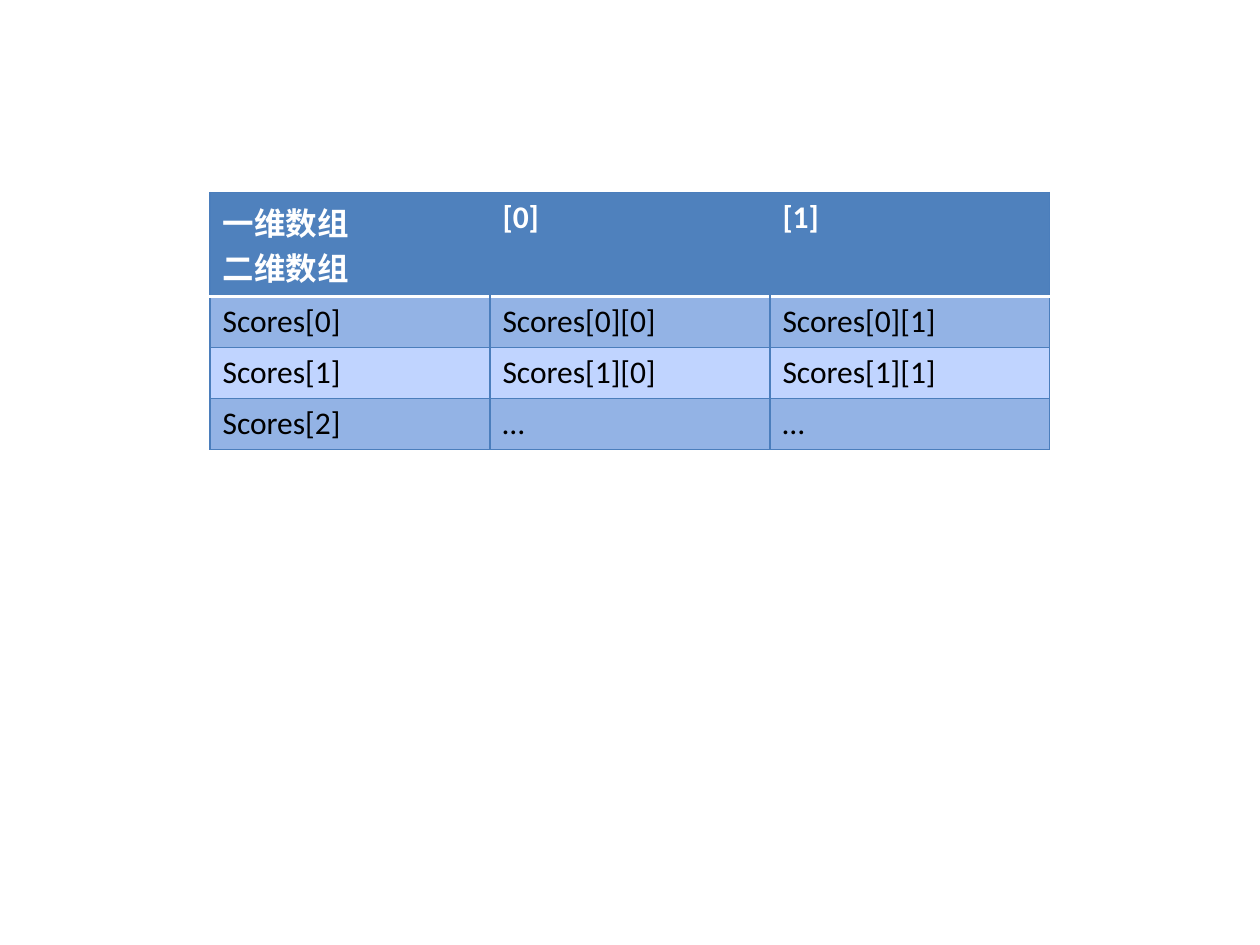
from lxml import etree
from pptx import Presentation
from pptx import util as u
from pptx.dml.color import RGBColor
from pptx.oxml.ns import qn

HEAD, DARK, LIGHT = "4F81BD", "93B3E5", "C0D4FF"
WHITE, BLACK, EDGE = "FFFFFF", "000000", "4B7EBC"
ROWS = [
    ["一维数组\n二维数组", "[0]", "[1]"],
    ["Scores[0]", "Scores[0][0]", "Scores[0][1]"],
    ["Scores[1]", "Scores[1][0]", "Scores[1][1]"],
    ["Scores[2]", "…", "…"],
]


def paint(fill, tone):
    fill.solid()
    fill.fore_color.rgb = RGBColor.from_string(tone)


def border(cell, side, tone, width):
    line = etree.SubElement(cell._tc.get_or_add_tcPr(), qn("a:ln" + side))
    line.set("w", str(u.Pt(width)))
    if tone is None:
        etree.SubElement(line, qn("a:noFill"))
    else:
        solid = etree.SubElement(line, qn("a:solidFill"))
        etree.SubElement(solid, qn("a:srgbClr")).set("val", tone)


def write(cell, words, tone, bold):
    frame = cell.text_frame
    for i, part in enumerate(words.split("\n")):
        para = frame.add_paragraph() if i else frame.paragraphs[0]
        run = para.add_run()
        run.text = part
        font = run.font
        font.name, font.size, font.bold = "Calibri", u.Pt(18), bold
        paint(font.fill, tone)


def edges(cell, row, col, last):
    # The header has no inner verticals and a white rule below
    sides = {side: (EDGE, 0.75) for side in "LRTB"}
    if row == 0:
        sides["B"] = (WHITE, 2)
        if col > 0:
            sides["L"] = (None, 0.75)
        if col < last:
            sides["R"] = (None, 0.75)
    elif row == 1:
        sides["T"] = (WHITE, 2)
    for side, (tone, width) in sides.items():
        border(cell, side, tone, width)


def grid(slide):
    count = len(ROWS[0])
    table = slide.shapes.add_table(
        len(ROWS), count, u.Pt(120), u.Pt(110), u.Pt(480), u.Pt(147)).table
    for col in table.columns:
        col.width = u.Pt(160)
    for r, words in enumerate(ROWS):
        head = r == 0
        table.rows[r].height = u.Pt(59.2 if head else 29.2)
        for c, word in enumerate(words):
            cell = table.cell(r, c)
            edges(cell, r, c, count - 1)
            paint(cell.fill, HEAD if head else DARK if r % 2 else LIGHT)
            write(cell, word, WHITE if head else BLACK, head)


def main():
    deck = Presentation()
    deck.slide_width, deck.slide_height = u.Pt(720), u.Pt(540)
    slide = deck.slides.add_slide(deck.slide_layouts[6])
    # Array index table
    grid(slide)
    deck.save("out.pptx")


if __name__ == "__main__":
    main()
